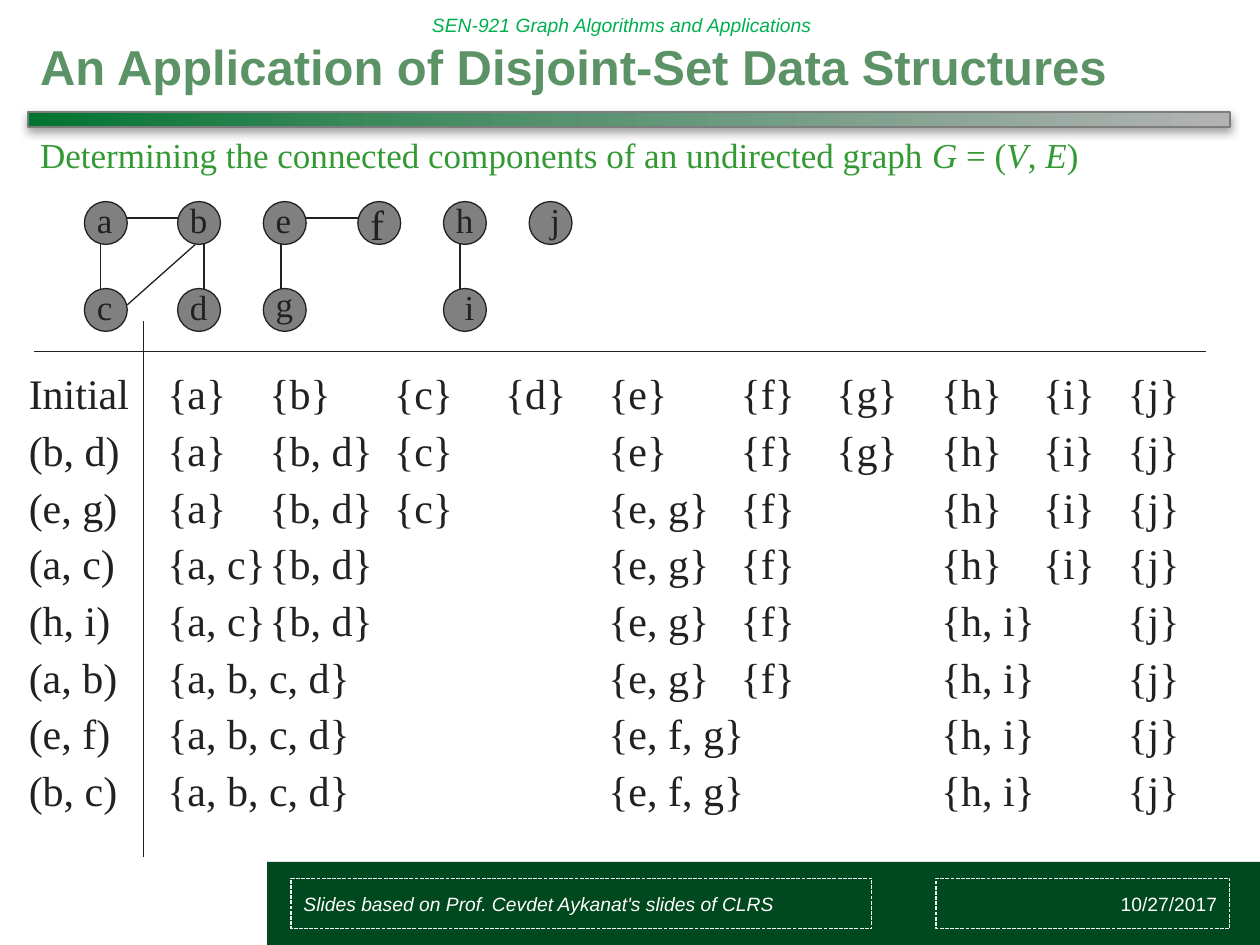
from copy import deepcopy

from lxml import etree
from pptx import Presentation
from pptx.dml.color import RGBColor
from pptx.enum.dml import MSO_LINE
from pptx.enum.shapes import MSO_CONNECTOR, MSO_SHAPE
from pptx.enum.text import MSO_ANCHOR, MSO_AUTO_SIZE, PP_ALIGN
from pptx.oxml.ns import qn
from pptx.util import Inches, Pt

RECT, OVAL = MSO_SHAPE.RECTANGLE, MSO_SHAPE.OVAL
STRAIGHT = MSO_CONNECTOR.STRAIGHT
SYS_DASH = MSO_LINE.SQUARE_DOT
MIDDLE, TOP = MSO_ANCHOR.MIDDLE, MSO_ANCHOR.TOP
GROW = MSO_AUTO_SIZE.SHAPE_TO_FIT_TEXT
LEFT, RIGHT = PP_ALIGN.LEFT, PP_ALIGN.RIGHT

INK = RGBColor(0x21, 0x21, 0x21)
GRAY = RGBColor(0x80, 0x80, 0x80)
BAR_LINE = RGBColor(0x7D, 0x7D, 0x7D)
DARK_GREEN = RGBColor(0x00, 0x48, 0x1E)
HEADER_GREEN = RGBColor(0x00, 0xB0, 0x50)
TITLE_GREEN = RGBColor(0x5B, 0x92, 0x66)
BODY_GREEN = RGBColor(0x33, 0x99, 0x33)
WHITE = RGBColor(0xFF, 0xFF, 0xFF)
PALE = RGBColor(0xF2, 0xF2, 0xF2)
BAR_STOPS = [(0, RGBColor(0x00, 0x74, 0x30)),
             (0.29, RGBColor(0x3C, 0x89, 0x5C)),
             (1, RGBColor(0xB3, 0xB3, 0xB3))]

SANS, SERIF = "Arial", "Times New Roman"
HEADER = {"name": SANS, "size": Pt(11), "italic": True}
FOOTER = {"name": SANS, "size": Pt(11)}
TITLE = {"name": SANS, "size": Pt(28), "bold": True}
BODY = {"name": SERIF, "size": Pt(20)}
ROW = {"name": SERIF, "size": Pt(24)}

NODE = 0.34
UPPER, LOWER = 1.6, 2.29
NODES = {"a": (0.67, UPPER), "b": (1.41, UPPER), "c": (0.67, LOWER),
         "d": (1.41, LOWER), "e": (2.09, UPPER), "f": (2.84, UPPER),
         "g": (2.09, LOWER), "h": (3.52, UPPER), "i": (3.52, LOWER),
         "j": (4.2, UPPER)}
LETTER_SHIFT = {"g": (0, -0.03), "i": (0.07, 0), "j": (0.07, 0)}
EDGES = [(1.01, 1.73, 1.41, 1.73), (0.8, 1.94, 0.8, 2.29),
         (1.62, 1.94, 1.62, 2.29), (1.01, 2.42, 1.55, 1.94),
         (2.43, 1.73, 2.84, 1.73), (2.23, 1.94, 2.23, 2.29),
         (3.65, 1.94, 3.65, 2.29)]
RULES = [(0.27, 2.79, 9.57, 2.79), (1.14, 2.55, 1.14, 6.8)]

ROW_LEFT, ROW_TOP, ROW_STEP, INSET = 0.13, 2.87, 0.45, 0.1
COLUMNS = [1.33, 2.14, 3.13, 4.01, 4.83, 5.88, 6.64, 7.47, 8.28, 8.95]
STEPS = ["Initial|{a}|{b}|{c}|{d}|{e}|{f}|{g}|{h}|{i}|{j}",
         "(b, d)|{a}|{b, d}|{c}||{e}|{f}|{g}|{h}|{i}|{j}",
         "(e, g)|{a}|{b, d}|{c}||{e, g}|{f}||{h}|{i}|{j}",
         "(a, c)|{a, c}|{b, d}|||{e, g}|{f}||{h}|{i}|{j}",
         "(h, i)|{a, c}|{b, d}|||{e, g}|{f}||{h, i}||{j}",
         "(a, b)|{a, b, c, d}||||{e, g}|{f}||{h, i}||{j}",
         "(e, f)|{a, b, c, d}||||{e, f, g}|||{h, i}||{j}",
         "(b, c)|{a, b, c, d}||||{e, f, g}|||{h, i}||{j}"]


def add_run(p, text, color, style):
    """Append a formatted run to a paragraph."""
    r = p.add_run()
    r.text = text
    for name, value in style.items():
        setattr(r.font, name, value)
    r.font.color.rgb = color
    return r


def add_text(s, box, text, color, style, anchor=TOP, grow=False):
    """Add a wrapping text box and return its paragraph."""
    tf = s.shapes.add_textbox(*map(Inches, box)).text_frame
    tf.word_wrap = True
    tf.vertical_anchor = anchor
    if grow:
        tf.auto_size = GROW
    p = tf.paragraphs[0]
    add_run(p, text, color, style)
    return p


def add_box(s, kind, box, fill=None, line=None, width=0.75):
    """Add a preset shape with an optional fill and outline."""
    sp = s.shapes.add_shape(kind, *map(Inches, box))
    sp.shadow.inherit = False
    if fill is None:
        sp.fill.background()
    else:
        sp.fill.solid()
        sp.fill.fore_color.rgb = fill
    if line is None:
        sp.line.fill.background()
    else:
        sp.line.color.rgb = line
        sp.line.width = Pt(width)
    return sp


def add_line(s, ends):
    """Add a thin straight connector without a shadow."""
    c = s.shapes.add_connector(STRAIGHT, *map(Inches, ends))
    c.line.color.rgb = INK
    c.line.width = Pt(0.75)
    etree.SubElement(c._element.spPr, qn("a:effectLst"))


def add_title_bar(s):
    """Add the gradient bar with its soft shadow below the title."""
    sp = add_box(s, RECT, (0.22, 0.89, 9.54, 0.12), line=BAR_LINE, width=1)
    sp.fill.gradient()
    sp.fill.gradient_angle = 0
    spPr = sp._element.spPr
    stops = spPr.find(".//" + qn("a:gsLst"))
    stops.insert(1, deepcopy(stops[0]))
    for stop, (position, color) in zip(sp.fill.gradient_stops, BAR_STOPS):
        stop.position = position
        stop.color.rgb = color
    shadow = etree.SubElement(spPr.find(qn("a:effectLst")), qn("a:outerShdw"),
                              blurRad=str(Pt(5)), dist=str(Pt(2)),
                              dir="5400000", rotWithShape="0")
    tint = etree.SubElement(shadow, qn("a:srgbClr"), val=str(GRAY))
    etree.SubElement(tint, qn("a:alpha"), val="75000")


def add_footer(s, box, text, align, style):
    """Add a dashed footer field."""
    sp = add_box(s, RECT, box, line=PALE)
    sp.line.dash_style = SYS_DASH
    tf = sp.text_frame
    tf.vertical_anchor = MIDDLE
    p = tf.paragraphs[0]
    p.alignment = align
    add_run(p, text, WHITE, style)


def add_graph(s):
    """Draw the nodes, edges and node letters."""
    for x, y in NODES.values():
        add_box(s, OVAL, (x, y, NODE, NODE), GRAY, INK)
    for ends in EDGES:
        add_line(s, ends)
    for letter, (x, y) in NODES.items():
        dx, dy = LETTER_SHIFT.get(letter, (0, 0))
        style, height = (ROW, 0.5) if letter == "f" else (BODY, 0.43)
        add_text(s, (x + dx, y - 0.07 + dy, NODE, height), letter, INK,
                 style, grow=True)


def add_step(s, index, step):
    """Add one row of sets, with a tab stop for each column in use."""
    label, *sets = step.split("|")
    used = [(x, text) for x, text in zip(COLUMNS, sets) if text]
    row = "\t".join([label] + [text for _, text in used])
    box = (ROW_LEFT, ROW_TOP + index * ROW_STEP, 9.45, 0.5)
    p = add_text(s, box, row, INK, ROW, grow=True)
    tabs = etree.SubElement(p._p.get_or_add_pPr(), qn("a:tabLst"))
    for x, _ in used:
        etree.SubElement(tabs, qn("a:tab"), algn="l",
                         pos=str(Inches(x - ROW_LEFT - INSET)))


def main():
    """Build the slide and save it."""
    prs = Presentation()
    prs.slide_width, prs.slide_height = Inches(10), Inches(7.5)
    s = prs.slides.add_slide(prs.slide_layouts[6])
    add_box(s, RECT, (2.12, 6.84, 7.88, 0.66), DARK_GREEN)
    add_text(s, (3.33, 0, 4.61, 0.4),
             "SEN-921 Graph Algorithms and Applications",
             HEADER_GREEN, HEADER, MIDDLE)
    add_title_bar(s)
    add_text(s, (0.22, 0.16, 9.54, 0.73),
             "An Application of Disjoint-Set Data Structures",
             TITLE_GREEN, TITLE, MIDDLE)
    p = add_text(s, (0.22, 1.01, 9.54, 5.69),
                 "Determining the connected components of an undirected graph ",
                 BODY_GREEN, BODY)
    for text, italic in [("G ", True), ("= (", False), ("V", True),
                         (", ", False), ("E", True), (")", False)]:
        add_run(p, text, BODY_GREEN, {**BODY, "italic": italic})
    add_footer(s, (7.43, 6.97, 2.33, 0.4), "10/27/2017", RIGHT, FOOTER)
    add_footer(s, (2.31, 6.97, 4.61, 0.4),
               "Slides based on Prof. Cevdet Aykanat's slides of CLRS",
               LEFT, HEADER)
    add_graph(s)
    for ends in RULES:
        add_line(s, ends)
    for index, step in enumerate(STEPS):
        add_step(s, index, step)
    prs.save("out.pptx")


if __name__ == "__main__":
    main()
